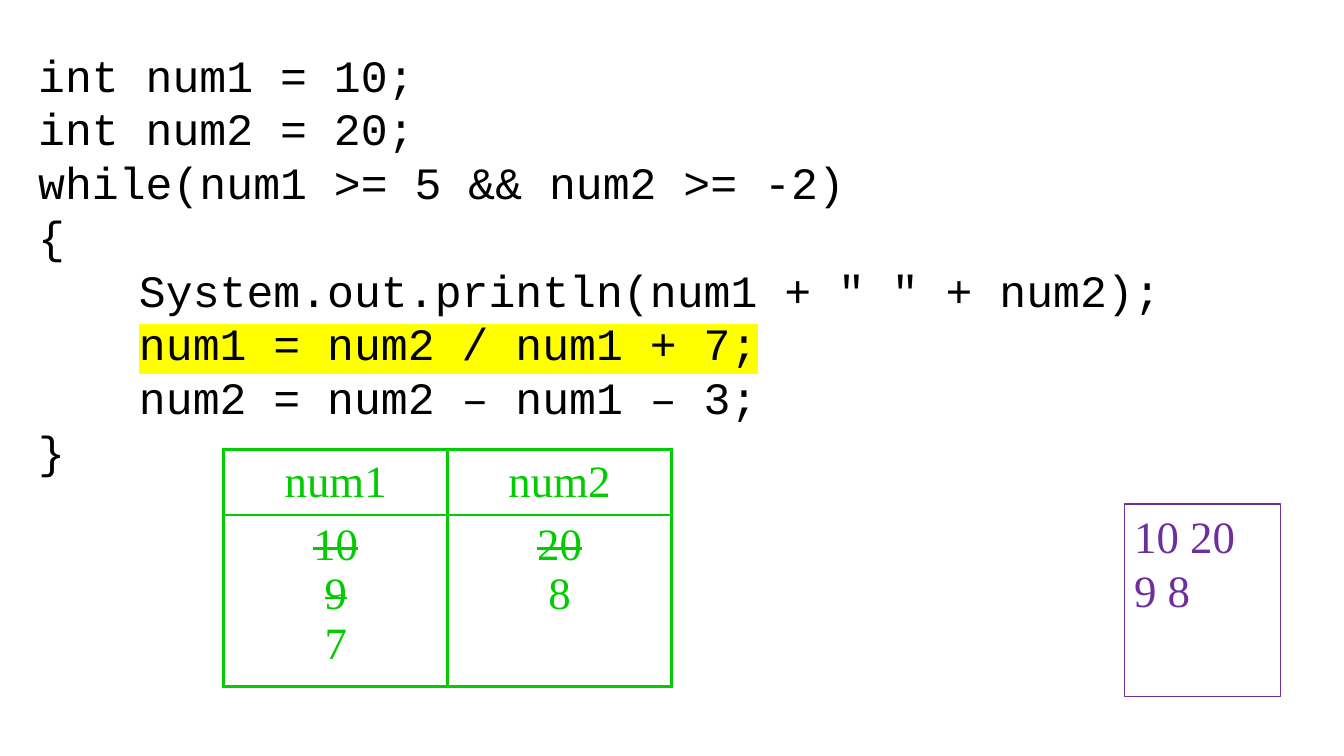
from lxml import etree
from pptx import Presentation
from pptx.dml.color import RGBColor
from pptx.enum.shapes import MSO_SHAPE
from pptx.enum.text import MSO_ANCHOR, PP_ALIGN
from pptx.oxml.ns import qn
from pptx.util import Inches, Pt

RECT = MSO_SHAPE.RECTANGLE
TOP, MIDDLE = MSO_ANCHOR.TOP, MSO_ANCHOR.MIDDLE
LEFT, CENTER = PP_ALIGN.LEFT, PP_ALIGN.CENTER
MONO, SERIF = "Courier New", "Times New Roman"
BLACK, GREEN, PURPLE, YELLOW = "000000", "00CC00", "6E2F9D", "FFFF00"

CODE = [
    "int num1 = 10;",
    "int num2 = 20;",
    "while(num1 >= 5 && num2 >= -2)",
    "{",
    "\tSystem.out.println(num1 + \" \" + num2);",
    "\tnum1 = num2 / num1 + 7;",
    "\tnum2 = num2 – num1 – 3;",
    "}",
]
ACTIVE = 5
TRACE = {"num1": ["10", "9", "7"], "num2": ["20", "8"]}
OUTPUT = ["10 20", "9 8"]


def color(value):
    """Turn a hex string into a colour."""
    return RGBColor.from_string(value)


def indent(para, stop):
    """Give a paragraph one left tab stop."""
    tabs = etree.SubElement(para._p.get_or_add_pPr(), qn("a:tabLst"))
    etree.SubElement(tabs, qn("a:tab"), pos=str(Inches(stop)), algn="l")


def write(frame, lines, face, ink, align=LEFT):
    """Fill a text frame with one paragraph per line."""
    for index, line in enumerate(lines):
        para = frame.paragraphs[0] if index == 0 else frame.add_paragraph()
        para.alignment = align
        if line.startswith("\t"):
            indent(para, 1)
        para.font.name = face
        para.font.size = Pt(32)
        para.font.color.rgb = color(ink)
        para.add_run().text = line


def mark(para, ink):
    """Highlight the text of a paragraph after its leading tab."""
    first = para.runs[0]
    text = first.text.lstrip("\t")
    first.text = "\t"
    run = para.add_run()
    run.text = text
    light = etree.SubElement(run.font._element, qn("a:highlight"))
    etree.SubElement(light, qn("a:srgbClr"), val=ink)


def border(cell, ink, width):
    """Draw all four borders of a table cell."""
    props = cell._tc.get_or_add_tcPr()
    for index, side in enumerate(("lnL", "lnR", "lnT", "lnB")):
        line = etree.Element(qn("a:" + side), w=str(Pt(width)))
        fill = etree.SubElement(line, qn("a:solidFill"))
        etree.SubElement(fill, qn("a:srgbClr"), val=ink)
        props.insert(index, line)


def add_code(slide, left, top, width, height):
    """Add the program with its current line highlighted."""
    box = slide.shapes.add_textbox(
        Inches(left), Inches(top), Inches(width), Inches(height))
    frame = box.text_frame
    frame.word_wrap = True
    write(frame, CODE, MONO, BLACK)
    mark(frame.paragraphs[ACTIVE], YELLOW)


def add_trace(slide, left, top, width, height):
    """Add the table of variable values, past ones struck through."""
    head = 0.65
    table = slide.shapes.add_table(
        2, len(TRACE), Inches(left), Inches(top),
        Inches(width), Inches(height)).table
    table.first_row = table.horz_banding = False
    table.rows[0].height = Inches(head)
    table.rows[1].height = Inches(height - head)
    for col, (name, values) in enumerate(TRACE.items()):
        for row, lines in enumerate(([name], values)):
            cell = table.cell(row, col)
            cell.fill.background()
            cell.vertical_anchor = TOP if row else MIDDLE
            border(cell, GREEN, 2.25)
            write(cell.text_frame, lines, SERIF, GREEN, CENTER)
        for para in table.cell(1, col).text_frame.paragraphs[:-1]:
            para.runs[0].font._element.set("strike", "sngStrike")


def add_output(slide, left, top, width, height):
    """Add the framed box of printed output."""
    box = slide.shapes.add_shape(
        RECT, Inches(left), Inches(top), Inches(width), Inches(height))
    box.shadow.inherit = False
    box.fill.background()
    box.line.color.rgb = color(PURPLE)
    box.line.width = Pt(1)
    frame = box.text_frame
    frame.word_wrap = True
    frame.vertical_anchor = TOP
    write(frame, OUTPUT, SERIF, PURPLE)


def main():
    """Build and save the slide."""
    deck = Presentation()
    deck.slide_width, deck.slide_height = Inches(13.33), Inches(7.5)
    slide = deck.slides.add_slide(deck.slide_layouts[6])
    add_code(slide, 0.28, 0.42, 12.21, 4.41)
    add_trace(slide, 2.22, 4.46, 4.44, 2.35)
    add_output(slide, 11.15, 5, 1.55, 1.91)
    deck.save("out.pptx")


if __name__ == "__main__":
    main()
